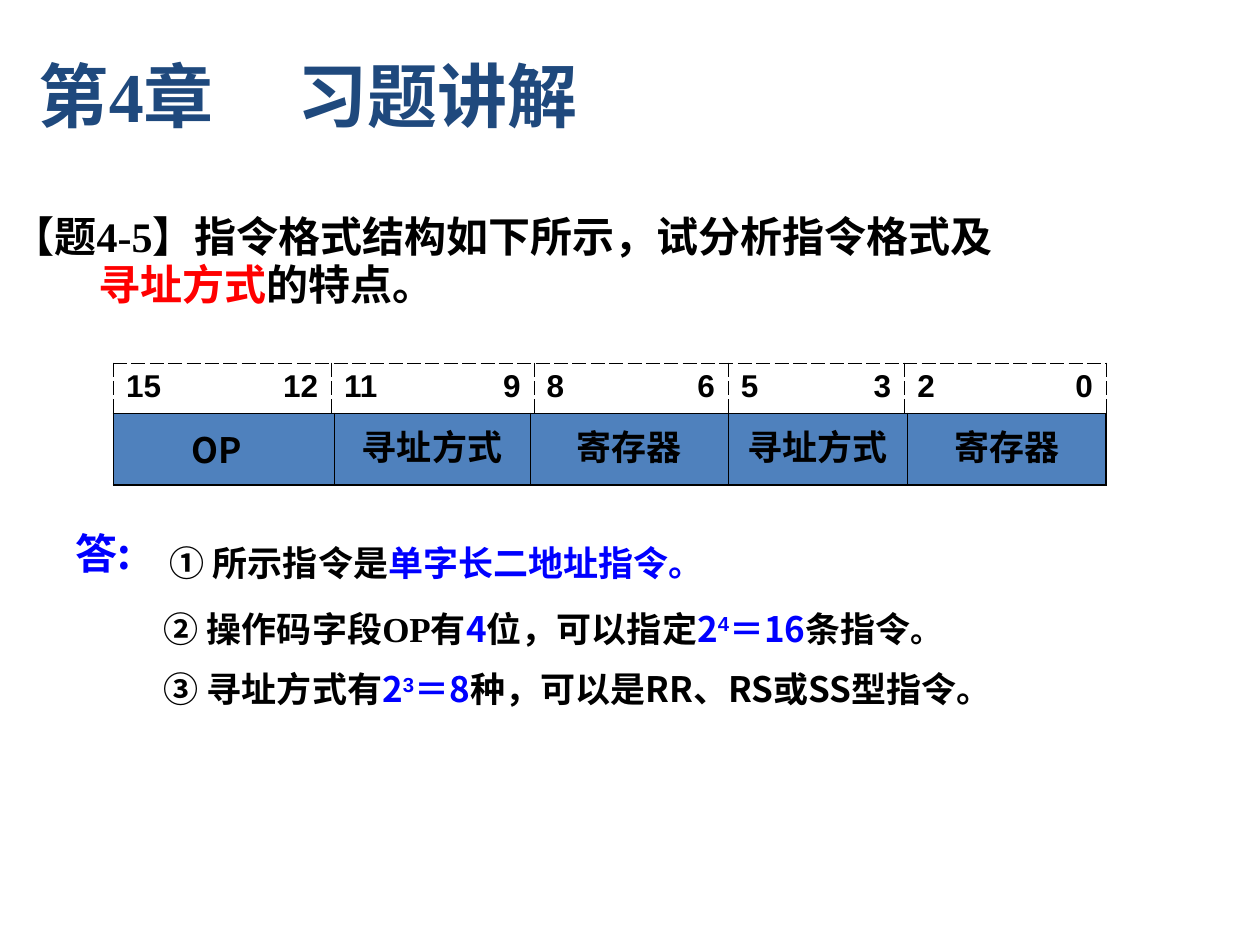
import pptx
import pptx.util
import pptx.dml.color
import pptx.enum.text
import pptx.oxml
import pptx.oxml.ns
import lxml.etree

Pt = pptx.util.Pt
qn = pptx.oxml.ns.qn
ALIGN = pptx.enum.text.PP_ALIGN
ANCHOR = pptx.enum.text.MSO_ANCHOR
AUTO_SIZE = pptx.enum.text.MSO_AUTO_SIZE

COLORS = {
    "black": "000000",
    "red": "FF0000",
    "blue": "0000FF",
    "navy": "1F497D",
    "field": "4F81BD",
}
SANS = "Noto Sans CJK SC"
SERIF = "Times New Roman"
ARIAL = "Arial"
TABLE_LEFT = 64.8
TABLE_WIDTH = 567.4
CELL_MARGIN = 7.2

BIT_RANGES = [("15", "12"), ("11", "9"), ("8", "6"), ("5", "3"), ("2", "0")]
BIT_WIDTHS = [124.7, 115.7, 111, 100.8, 115.2]
FIELDS = ["OP", "寻址方式", "寄存器", "寻址方式", "寄存器"]
FIELD_WIDTHS = [126, 112.2, 113.2, 102.2, 113.8]

ANSWERS = [
    ((36, 293.8, 562, 41), [
        ("答:", 24, SANS, "blue"),
        (" ", 28, SANS, "blue"),
    ]),
    ((90, 306, 528, 31.7), [
        ("① 所示指令是", 20, SANS, "black"),
        ("单字长二地址指令。", 20, SANS, "blue"),
        (" ", 16, SANS, "black"),
    ]),
    ((82, 343.5, 564, 31.7), [
        (" ② 操作码字段", 20, SANS, "black"),
        ("OP有", 20, SERIF, "black"),
        ("4", 20, SANS, "blue"),
        ("位", 20, SERIF, "black"),
        ("，可以指定", 20, SANS, "black"),
        ("2", 20, SANS, "blue"),
        ("4", 20, ARIAL, "blue", 30),
        ("＝16", 20, SANS, "blue"),
        ("条指令", 20, SANS, "black"),
        ("。", 18, SANS, "black"),
    ]),
    ((82, 378, 564, 31.7), [
        (" ③ 寻址方式有", 20, SANS, "black"),
        ("2", 20, SANS, "blue"),
        ("3", 20, ARIAL, "blue", 30),
        ("＝8", 20, SANS, "blue"),
        ("种，可以是RR、RS或SS型指令。", 20, SANS, "black"),
        (" ", 18, SANS, "black"),
    ]),
]


def add_run(paragraph, text, size, font, color, raised=0):
    run = paragraph.add_run()
    run.text = text
    run.font.size = Pt(size)
    run.font.bold = True
    run.font.name = font
    run.font.color.rgb = pptx.dml.color.RGBColor.from_string(COLORS[color])
    properties = run.font._element
    east_asian = lxml.etree.SubElement(properties, qn("a:ea"))
    east_asian.set("typeface", SANS)
    if raised:
        properties.set("baseline", str(raised * 1000))


def add_runs(paragraph, runs):
    for run in runs:
        add_run(paragraph, *run)


def add_tab(paragraph, position, alignment):
    tabs = lxml.etree.SubElement(paragraph._p.get_or_add_pPr(), qn("a:tabLst"))
    lxml.etree.SubElement(tabs, qn("a:tab"), pos=str(Pt(position)), algn=alignment)


def place(shape, left, top, width, height):
    shape.left, shape.top = Pt(left), Pt(top)
    shape.width, shape.height = Pt(width), Pt(height)


def fill_title(title):
    place(title, 15, 18, 631.5, 72)
    title.text_frame.auto_size = AUTO_SIZE.NONE
    title.text_frame.vertical_anchor = ANCHOR.MIDDLE
    paragraph = title.text_frame.paragraphs[0]
    paragraph.alignment = ALIGN.LEFT
    add_tab(paragraph, 148, "l")
    add_run(paragraph, "第4章\t", 40, SERIF, "navy")
    add_run(paragraph, "习题讲解", 40, SANS, "navy")


def add_question_line(paragraph, indent, runs):
    paragraph.alignment = ALIGN.JUSTIFY
    paragraph.line_spacing = 0.8
    paragraph.space_before = Pt(4)
    properties = paragraph._p.get_or_add_pPr()
    properties.set("marL", str(Pt(indent)))
    properties.set("indent", "0")
    lxml.etree.SubElement(properties, qn("a:buNone"))
    add_runs(paragraph, runs)


def fill_question(body):
    place(body, 0, 122.4, 590, 73.4)
    frame = body.text_frame
    frame.auto_size = AUTO_SIZE.NONE
    frame.margin_right = 0
    add_question_line(frame.paragraphs[0], 0, [
        ("【题", 24, SANS, "black"),
        ("4-5", 24, SERIF, "black"),
        ("】指令格式结构如下所示，试分析指令格式及", 24, SANS, "black"),
    ])
    add_question_line(frame.add_paragraph(), 49, [
        ("寻址方式", 24, SANS, "red"),
        ("的特点。", 24, SANS, "black"),
    ])


def add_row_table(slide, top, height, widths):
    frame = slide.shapes.add_table(
        1, len(widths), Pt(TABLE_LEFT), Pt(top), Pt(TABLE_WIDTH), Pt(height))
    table = frame.table
    table.first_row = False
    table.horz_banding = False
    table.rows[0].height = Pt(height)
    for column, width in zip(table.columns, widths):
        column.width = Pt(width)
    return list(table.rows[0].cells)


def set_borders(cell, widths, dash):
    properties = cell._tc.get_or_add_tcPr()
    for side, width in zip("LRTB", widths):
        line = lxml.etree.SubElement(properties, qn("a:ln" + side), w=str(Pt(width)))
        fill = lxml.etree.SubElement(line, qn("a:solidFill"))
        lxml.etree.SubElement(fill, qn("a:srgbClr"), val=COLORS["black"])
        lxml.etree.SubElement(line, qn("a:prstDash"), val=dash)


def add_field_table(slide):
    cells = add_row_table(slide, 236.2, 41, FIELD_WIDTHS)
    thin, thick = 0.45, 1.08
    for cell, name in zip(cells, FIELDS):
        left = thick if cell is cells[0] else thin
        right = thick if cell is cells[-1] else thin
        set_borders(cell, (left, right, thick, thick), "solid")
        cell.fill.solid()
        cell.fill.fore_color.rgb = pptx.dml.color.RGBColor.from_string(COLORS["field"])
        paragraph = cell.text_frame.paragraphs[0]
        paragraph.alignment = ALIGN.CENTER
        paragraph.space_before = Pt(5)
        add_run(paragraph, name, 20, SANS, "black")
        if name == "OP":
            add_run(paragraph, " ", 28, ARIAL, "black")


def add_bit_table(slide):
    cells = add_row_table(slide, 207.4, 28.8, BIT_WIDTHS)
    for cell, width, (high, low) in zip(cells, BIT_WIDTHS, BIT_RANGES):
        set_borders(cell, [0.45] * 4, "dash")
        cell.fill.background()
        paragraph = cell.text_frame.paragraphs[0]
        paragraph.alignment = ALIGN.LEFT
        paragraph.space_before = Pt(4.5)
        add_tab(paragraph, width - 2 * CELL_MARGIN - 0.5, "r")
        add_run(paragraph, high + "\t" + low, 18, ARIAL, "black")


def add_answer(slide, box, runs):
    shape = slide.shapes.add_textbox(*map(Pt, box))
    shape.text_frame.word_wrap = True
    add_runs(shape.text_frame.paragraphs[0], runs)


def main():
    presentation = pptx.Presentation()
    presentation.slide_width = Pt(720)
    presentation.slide_height = Pt(540)
    slide = presentation.slides.add_slide(presentation.slide_layouts[1])
    fill_title(slide.shapes.title)
    fill_question(slide.placeholders[1])
    add_field_table(slide)
    add_bit_table(slide)
    for box, runs in ANSWERS:
        add_answer(slide, box, runs)
    presentation.save("out.pptx")


if __name__ == "__main__":
    main()
